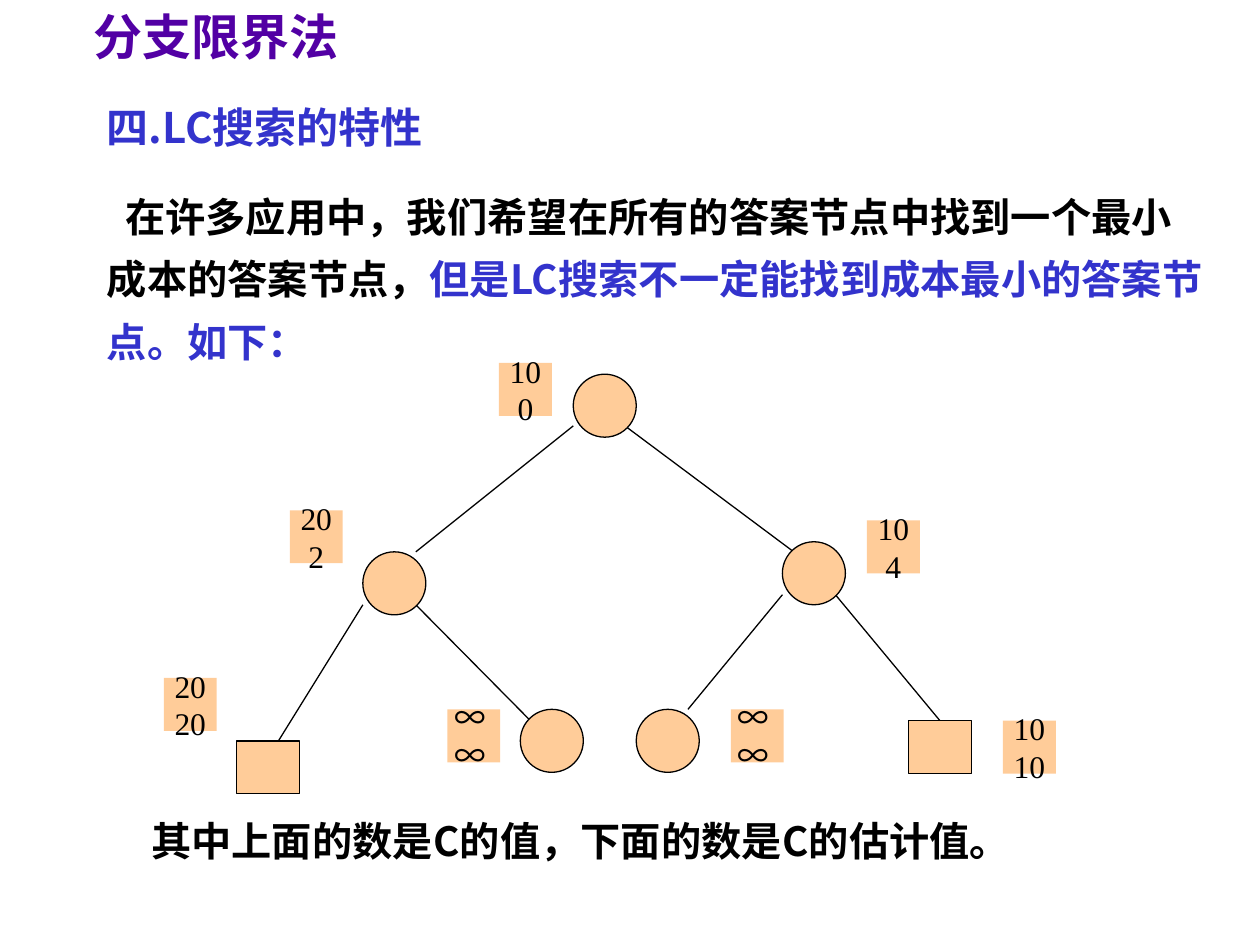
from pptx import Presentation
from pptx.dml.color import RGBColor
from pptx.enum.shapes import MSO_CONNECTOR, MSO_SHAPE
from pptx.enum.text import MSO_ANCHOR, PP_ALIGN
from pptx.oxml.ns import qn
from pptx.util import Inches, Pt
from lxml.etree import SubElement

SANS, SERIF = "Noto Sans CJK SC", "Times New Roman"
PURPLE, BLUE, BLACK, PEACH = "5200A4", "3333CC", "000000", "FFCC99"
NODE, SIDE = 0.5, 0.42  # node width; label side and leaf height

TITLE = "分支限界法"
HEADING = "四.LC搜索的特性"
BODY = [
    ("  在许多应用中，我们希望在所有的答案节点中找到一个最小成本的答案节点，", BLACK),
    ("但是LC搜索不一定能找到成本最小的答案节点。如下：", BLUE),
]
CAPTION = "其中上面的数是C的值，下面的数是C的估计值。"

EDGES = [  # x1, y1, x2, y2
    (4.55, 3.38, 3.3, 4.38), (4.96, 3.38, 6.3, 4.38),
    (2.88, 4.8, 2.21, 5.88), (3.3, 4.8, 4.21, 5.72),
    (6.21, 4.72, 5.46, 5.63), (6.63, 4.72, 7.46, 5.72),
]
CIRCLES = [(4.55, 2.97), (2.88, 4.38), (6.21, 4.3), (4.13, 5.63), (5.05, 5.63)]
ANSWERS = [(1.88, 5.88), (7.21, 5.72)]
LABELS = [  # left, top, cost, estimate, font
    (3.96, 2.88, "10", "0", SERIF), (2.3, 4.05, "20", "2", SERIF),
    (6.88, 4.13, "10", "4", SERIF), (1.3, 5.38, "20", "20", SERIF),
    (3.55, 5.63, "∞ ", "∞ ", SANS), (5.8, 5.63, "∞ ", "∞ ", SANS),
    (7.96, 5.72, "10", "10", SERIF),
]


def rgb(color):
    return RGBColor.from_string(color)


def style(r, size, color, font=SANS, bold=True):
    """Format a run, with the sans face for its East Asian characters."""
    r.font.size, r.font.bold, r.font.name = Pt(size), bold, font
    r.font.color.rgb = rgb(color)
    SubElement(r.font._element, qn("a:ea")).set("typeface", SANS)


def add_text(shapes, x, y, w, h):
    tf = shapes.add_textbox(*map(Inches, (x, y, w, h))).text_frame
    tf.word_wrap = True
    return tf


def add_box(shapes, kind, x, y, w, h, outlined=True):
    sp = shapes.add_shape(kind, *map(Inches, (x, y, w, h)))
    sp.shadow.inherit = False
    sp.fill.solid()
    sp.fill.fore_color.rgb = rgb(PEACH)
    if outlined:
        sp.line.color.rgb = rgb(BLACK)
        sp.line.width = Pt(0.75)
    else:
        sp.line.fill.background()
    return sp


def add_edge(shapes, *ends):
    line = shapes.add_connector(MSO_CONNECTOR.STRAIGHT, *map(Inches, ends))
    line.line.color.rgb = rgb(BLACK)
    line.line.width = Pt(0.75)
    SubElement(line._element.spPr, qn("a:effectLst"))


def add_label(shapes, x, y, cost, estimate, font):
    tf = add_box(shapes, MSO_SHAPE.RECTANGLE, x, y, SIDE, SIDE, False).text_frame
    tf.word_wrap = False
    tf.vertical_anchor = MSO_ANCHOR.MIDDLE
    tf.text = f"{cost}\n{estimate}"
    for p in tf.paragraphs:
        p.alignment = PP_ALIGN.CENTER
        style(p.runs[0], 18, BLACK, font, bold=False)


def main():
    prs = Presentation()
    prs.slide_width, prs.slide_height = Inches(10), Inches(7.5)
    s = prs.slides.add_slide(prs.slide_layouts[5])

    title = s.shapes.title
    title.left, title.top, title.width, title.height = map(Inches, (0.27, 0, 2.89, 0.57))
    tf = title.text_frame
    tf.text = TITLE
    tf.vertical_anchor = MSO_ANCHOR.TOP
    tf.paragraphs[0].alignment = PP_ALIGN.CENTER
    style(tf.paragraphs[0].runs[0], 28, PURPLE, SERIF)

    tf = add_text(s.shapes, 0.75, 0.76, 8.98, 2.2)
    tf.text = HEADING
    p = tf.paragraphs[0]
    p.space_before = Pt(15)
    style(p.runs[0], 24, BLUE)
    p = tf.add_paragraph()
    p.line_spacing, p.space_before = 1.3, Pt(14.4)
    for text, color in BODY:
        r = p.add_run()
        r.text = text
        style(r, 23, color)

    tree = s.shapes.add_group_shape().shapes
    for edge in EDGES:
        add_edge(tree, *edge)
    for x, y in CIRCLES:
        add_box(tree, MSO_SHAPE.OVAL, x, y, NODE, NODE)
    for x, y in ANSWERS:
        add_box(tree, MSO_SHAPE.RECTANGLE, x, y, NODE, SIDE)
    for label in LABELS:
        add_label(tree, *label)

    tf = add_text(s.shapes, 0.83, 6.43, 7.56, 0.49)
    tf.text = CAPTION
    p = tf.paragraphs[0]
    p.alignment, p.space_before = PP_ALIGN.CENTER, Pt(14.4)
    style(p.runs[0], 23, BLACK)

    prs.save("out.pptx")


if __name__ == "__main__":
    main()
